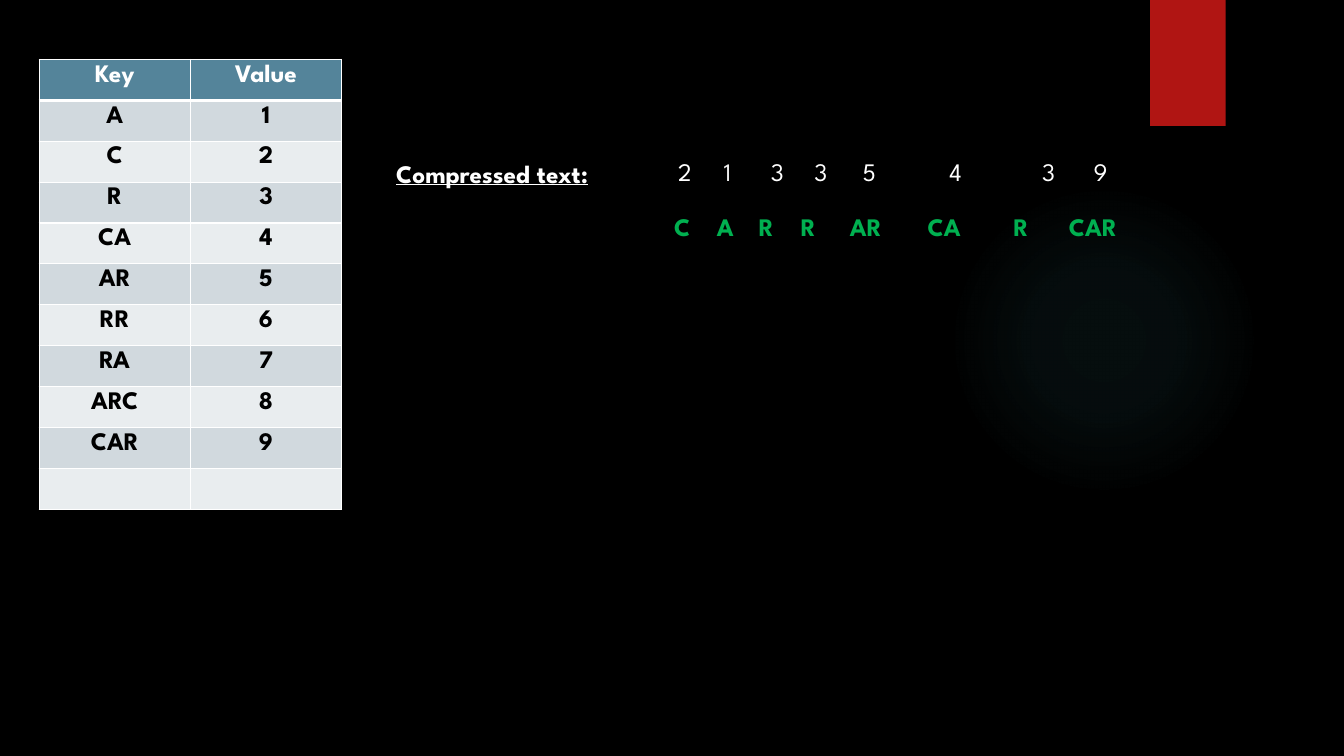
from lxml import etree
from pptx import Presentation
from pptx.dml.color import RGBColor
from pptx.enum import shapes, text
from pptx.oxml import ns
from pptx.util import Pt

HUES = {
    "back": "000000", "white": "FFFFFF", "pale": "EBEBEB", "ink": "000000",
    "head": "54849A", "odd": "D1D9DE", "even": "E9EDEF",
    "red": "B01513", "glow": "50B9C1", "green": "00B050",
}
ROWS = [("Key", "Value"), ("A", "1"), ("C", "2"), ("R", "3"), ("CA", "4"),
        ("AR", "5"), ("RR", "6"), ("RA", "7"), ("ARC", "8"), ("CAR", "9"), ("", "")]
CODES = [("2", 0), ("1", 32.4), ("3", 66.24), ("3", 97.2),
         ("5", 131.76), ("4", 193.68), ("3", 259.92), ("9", 296.64)]
WORDS = ["C", "A", "R", "R", "AR", "CA", "R", "CAR"]
TABS = [30.5, 60.5, 90.5, 125.5, 181, 242.5, 282]


def paint(fill, hue):
    fill.solid()
    fill.fore_color.rgb = RGBColor.from_string(HUES[hue])


def write(frame, words, hue="white", bold=False, line=False, align=text.PP_ALIGN.LEFT):
    para = frame.paragraphs[0]
    para.alignment = align
    run = para.add_run()
    run.text = words
    font = run.font
    font.name, font.size = "League Spartan", Pt(18)
    font.bold, font.underline = bold, line
    paint(font.fill, hue)
    return para


def label(slide, box, words, **form):
    frame = slide.shapes.add_textbox(*map(Pt, box)).text_frame
    frame.word_wrap = True
    return write(frame, words, **form)


def shape(slide, kind, box, hue):
    item = slide.shapes.add_shape(kind, *map(Pt, box))
    item.shadow.inherit = False
    item.line.fill.background()
    paint(item.fill, hue)
    return item


def decor(slide, box):
    left, top, width, height = box
    glow = shape(slide, shapes.MSO_SHAPE.OVAL,
                 (left + 677.5, top + 131.8, 221.8, 221.8), "glow")
    stops = "".join(
        f'<a:gs pos="{place * 1000}"><a:srgbClr val="{HUES["glow"]}">'
        f'<a:alpha val="{alpha * 1000}"/></a:srgbClr></a:gs>'
        for place, alpha in [(0, 7), (36, 6), (69, 0)])
    grad = etree.fromstring(
        f'<a:gradFill {ns.nsdecls("a")}><a:gsLst>{stops}</a:gsLst><a:path path="circle">'
        '<a:fillToRect l="50000" t="50000" r="50000" b="50000"/></a:path></a:gradFill>')
    solid = glow.element.spPr.find(ns.qn("a:solidFill"))
    solid.getparent().replace(solid, grad)
    shape(slide, shapes.MSO_SHAPE.RECTANGLE, (left + 821.5, top, 54, 90), "red")


def edge(cell, widths):
    props = cell._tc.get_or_add_tcPr()
    for spot, (side, width) in enumerate(widths.items()):
        props.insert(spot, etree.fromstring(
            f'<a:ln{side} {ns.nsdecls("a")} w="{Pt(width)}"><a:solidFill>'
            f'<a:srgbClr val="{HUES["white"]}"/></a:solidFill></a:ln{side}>'))


def codebook(slide, box):
    table = slide.shapes.add_table(len(ROWS), 2, *map(Pt, box)).table
    for col in table.columns:
        col.width = Pt(box[2] / 2)
    for num, row in enumerate(ROWS):
        table.rows[num].height = Pt(box[3] / len(ROWS))
        for col, words in enumerate(row):
            cell = table.cell(num, col)
            paint(cell.fill, "head" if num == 0 else "odd" if num % 2 else "even")
            edge(cell, {"L": 1, "R": 1, "T": 3 if num == 1 else 1, "B": 3 if num == 0 else 1})
            if words:
                write(cell.text_frame, words, hue="ink" if num else "white",
                      bold=True, align=text.PP_ALIGN.CENTER)


def decode(slide, box):
    left, top, width, height = box
    label(slide, (left, top + 1.4, 169.2, 29), "Compressed text:", bold=True, line=True)
    for num, (code, step) in enumerate(CODES):
        label(slide, (left + 201.6 + step, top, 24.5, 29), code,
              hue="pale" if num == 1 else "white")
    para = label(slide, (left + 198.7, top + 39.6, width - 198.7, 29),
                 "\t".join(WORDS), hue="green", bold=True)
    tabs = etree.SubElement(para._p.get_or_add_pPr(), ns.qn("a:tabLst"))
    for stop in TABS:
        etree.SubElement(tabs, ns.qn("a:tab"), pos=str(Pt(stop)), algn="l")


def main():
    deck = Presentation()
    deck.slide_width, deck.slide_height = Pt(960), Pt(540)
    slide = deck.slides.add_slide(deck.slide_layouts[6])
    paint(slide.background.fill, "back")
    decor(slide, (0, 0, 960, 540))
    codebook(slide, (28, 42.5, 216, 321.2))
    decode(slide, (275.8, 108, 554.4, 69))
    deck.save("out.pptx")


if __name__ == "__main__":
    main()
